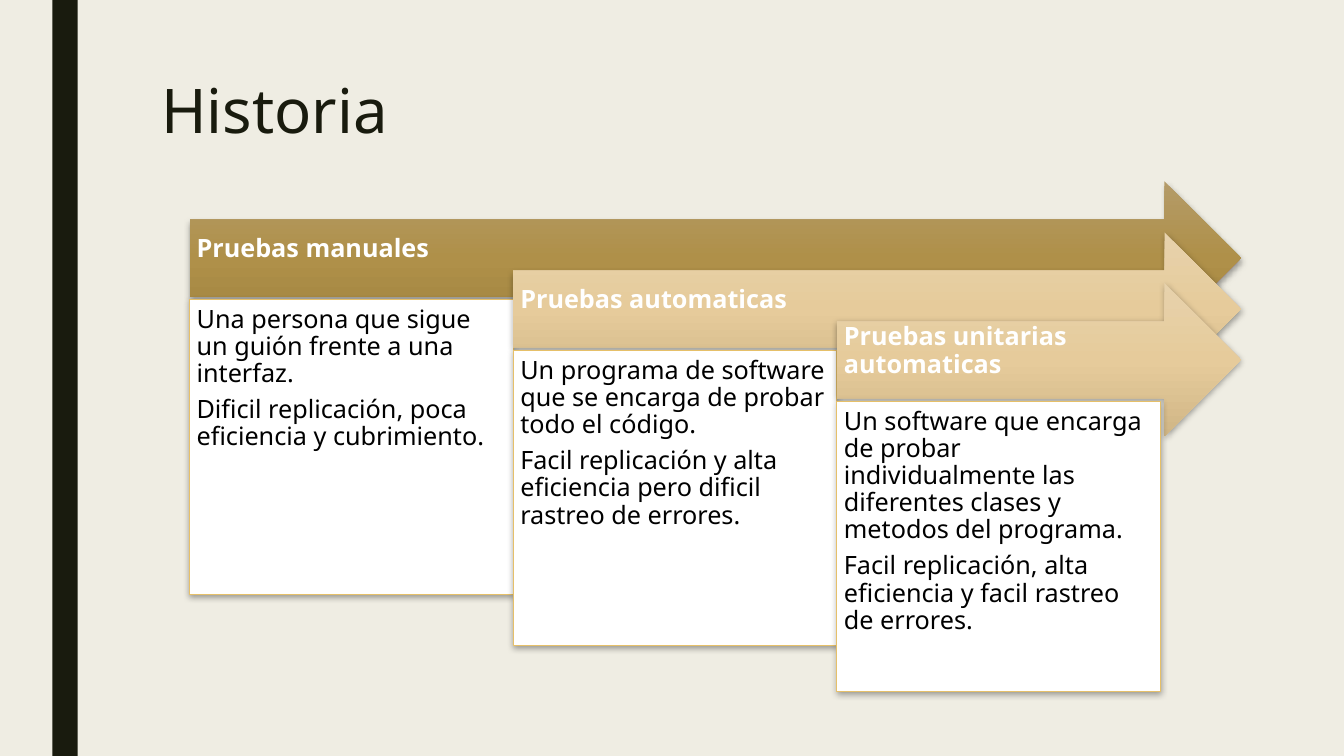
from lxml import etree
from pptx import Presentation
from pptx import util as u
from pptx.dml.color import RGBColor
from pptx.enum import shapes, text
from pptx.oxml.ns import qn

COLORS = {
    "background": "EFEDE3",
    "dark": "191B0E",
    "white": "FFFFFF",
    "black": "000000",
    "card_edge": "E6C069",
}
GOLD = {0: "B49B68", 50: "AF9049", 100: "9F813D"}
SAND = {0: "E7D2AC", 50: "E6CB9B", 100: "D0B686"}
FONT = "Noto Sans"

WIDTH, HEIGHT = 13.33, 7.5
STEP_RISE = 0.505
ARROW_HEIGHT = 1.52
CARD_DROP = 1.17
CARD_WIDTH = 3.21

STEPS = [
    ("Pruebas manuales", GOLD, 2.93,
     ["Una persona que sigue un guión frente a una interfaz.",
      "Dificil replicación, poca eficiencia y cubrimiento."]),
    ("Pruebas automaticas", SAND, 2.93,
     ["Un programa de software que se encarga de probar todo el código.",
      "Facil replicación y alta eficiencia pero dificil rastreo de errores."]),
    ("Pruebas unitarias automaticas", SAND, 2.88,
     ["Un software que encarga de probar individualmente las diferentes clases y metodos del programa.",
      "Facil replicación, alta eficiencia y facil rastreo de errores."]),
]


def rgb(name):
    return RGBColor.from_string(COLORS[name])


def inches(box):
    return [u.Inches(length) for length in box]


def write(shape, paragraphs, size=18, color="black", bold=False, spacing=0.9,
          after=6.3, anchor=text.MSO_ANCHOR.TOP, insets=(0.07, 0.07, 0.07, 0.07)):
    """Insets run left, top, right, bottom, in inches."""
    frame = shape.text_frame
    frame.word_wrap = True
    frame.vertical_anchor = anchor
    (frame.margin_left, frame.margin_top,
     frame.margin_right, frame.margin_bottom) = inches(insets)
    for i, words in enumerate(paragraphs):
        paragraph = frame.add_paragraph() if i else frame.paragraphs[0]
        paragraph.alignment = text.PP_ALIGN.LEFT
        paragraph.line_spacing = spacing
        paragraph.space_after = u.Pt(after)
        run = paragraph.add_run()
        run.text = words
        run.font.name = FONT
        run.font.size = u.Pt(size)
        run.font.bold = bold
        run.font.color.rgb = rgb(color)


def add_plain_shape(slide, kind, box, fill=None):
    shape = slide.shapes.add_shape(kind, *inches(box))
    shape.shadow.inherit = False
    shape.line.fill.background()
    if fill:
        shape.fill.solid()
        shape.fill.fore_color.rgb = rgb(fill)
    return shape


def add_color(parent, value):
    return etree.SubElement(parent, qn("a:srgbClr"), val=value)


def fill_gradient(shape, stops):
    """Fill from top to bottom; stops map a percentage to a hex colour."""
    shape.fill.gradient()
    shape.fill.gradient_angle = 270
    stop_list = shape.element.spPr.find(".//" + qn("a:gsLst"))
    for stop in list(stop_list):
        stop_list.remove(stop)
    for position, value in stops.items():
        stop = etree.SubElement(stop_list, qn("a:gs"), pos=str(position * 1000))
        add_color(stop, value)


def cast_shadow(shape):
    effects = shape.element.spPr.find(qn("a:effectLst"))
    shadow = etree.SubElement(
        effects, qn("a:outerShdw"), blurRad=str(u.Pt(4.5)), dist=str(u.Pt(1.5)),
        dir="5400000", algn="ctr", rotWithShape="0")
    etree.SubElement(add_color(shadow, COLORS["black"]), qn("a:alpha"), val="35000")


def add_arrow(slide, box, heading, stops):
    arrow = add_plain_shape(slide, shapes.MSO_SHAPE.RIGHT_ARROW, box)
    fill_gradient(arrow, stops)
    cast_shadow(arrow)
    write(arrow, [heading], color="white", bold=True,
          anchor=text.MSO_ANCHOR.MIDDLE, insets=(0.07, 0.07, 0.28, 0.24))


def add_card(slide, box, paragraphs):
    card = add_plain_shape(slide, shapes.MSO_SHAPE.RECTANGLE, box, "white")
    card.line.color.rgb = rgb("card_edge")
    card.line.width = u.Pt(0.5)
    cast_shadow(card)
    write(card, paragraphs)


def add_timeline(slide, left, top, width):
    """Each step starts one card further right and one rise lower; arrows share a tip."""
    for i, (heading, stops, card_height, paragraphs) in enumerate(STEPS):
        x, y = left + i * CARD_WIDTH, top + i * STEP_RISE
        add_arrow(slide, (x, y, left + width - x, ARROW_HEIGHT), heading, stops)
        add_card(slide, (x, y + CARD_DROP, CARD_WIDTH, card_height), paragraphs)


def add_title(slide, box, title):
    write(slide.shapes.add_textbox(*inches(box)), [title], size=44, color="dark",
          spacing=0.89, after=0, insets=(0.1, 0.05, 0.1, 0.05))


def main():
    deck = Presentation()
    deck.slide_width, deck.slide_height = inches((WIDTH, HEIGHT))
    slide = deck.slides.add_slide(deck.slide_layouts[6])
    slide.background.fill.solid()
    slide.background.fill.fore_color.rgb = rgb("background")

    add_plain_shape(slide, shapes.MSO_SHAPE.RECTANGLE, (0.52, 0, 0.25, HEIGHT), "dark")
    add_title(slide, (1.5, 0.75, 10.5, 1.62), "Historia")
    add_timeline(slide, left=1.88, top=1.8, width=10.43)
    deck.save("out.pptx")


if __name__ == "__main__":
    main()
